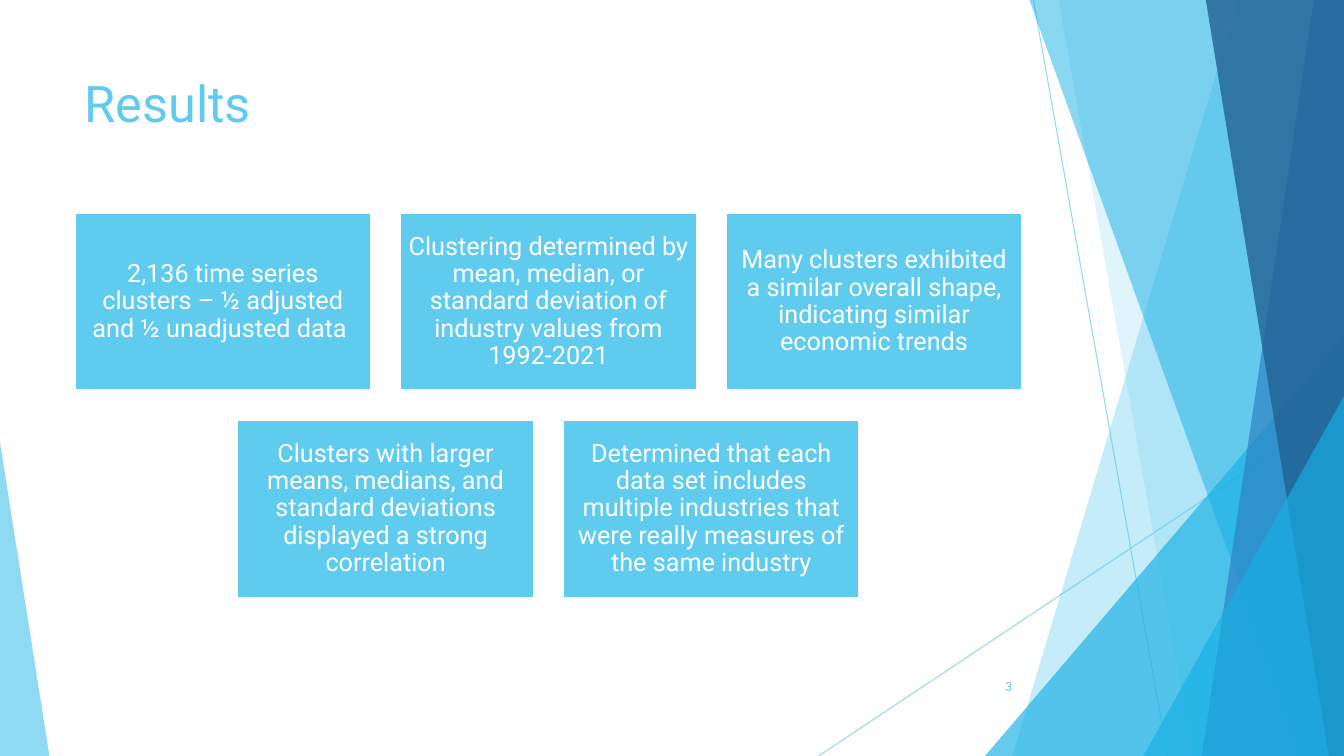
from pptx import Presentation
from pptx.dml.color import RGBColor
from pptx.enum.shapes import MSO_CONNECTOR, MSO_SHAPE
from pptx.enum.text import MSO_ANCHOR as ANCHOR, PP_ALIGN as ALIGN
from pptx.oxml.ns import qn
from pptx.util import Inches, Pt
from lxml.etree import SubElement

W, H = 13.33, 7.5
FONT = "Roboto"
COLORS = {"sky": "5FCBEF", "cyan": "17B0E4", "blue": "2E83C3",
          "navy": "226292", "white": "FFFFFF"}

RESULTS = [
    ["2,136 time series clusters – ½ adjusted and ½ unadjusted data ",
     "Clustering determined by mean, median, or standard deviation of "
     "industry values from 1992-2021",
     "Many clusters exhibited a similar overall shape, indicating similar "
     "economic trends"],
    ["Clusters with larger means, medians, and standard deviations "
     "displayed a strong correlation",
     "Determined that each data set includes multiple industries that were "
     "really measures of the same industry"],
]


def rgb(name):
    return RGBColor.from_string(COLORS[name])


def paint(fill, color, opacity=100):
    """Give a fill a solid colour, with opacity in percent."""
    fill.solid()
    fill.fore_color.rgb = rgb(color)
    if opacity < 100:
        clr = fill._xPr.find(qn("a:solidFill"))[0]
        SubElement(clr, qn("a:alpha"), val=str(opacity * 1000))


def write(shape, text, size, color, inset=None, **formats):
    """Put one paragraph of text in a shape; formats go to its paragraph."""
    tf = shape.text_frame
    tf.word_wrap = True
    tf.vertical_anchor = formats.pop("anchor", ANCHOR.MIDDLE)
    if inset is not None:
        for side in ("left", "top", "right", "bottom"):
            setattr(tf, f"margin_{side}", Inches(inset))
    p = tf.paragraphs[0]
    for name, value in formats.items():
        setattr(p, name, value)
    r = p.add_run()
    r.text = text
    for name, value in {"size": Pt(size), "name": FONT}.items():
        setattr(r.font, name, value)
    r.font.color.rgb = rgb(color)


def add_text(s, box, text, size, color, **formats):
    write(s.shapes.add_textbox(*map(Inches, box)), text, size, color, **formats)


def add_ray(s, start, end):
    ray = s.shapes.add_connector(MSO_CONNECTOR.STRAIGHT,
                                 *map(Inches, start + end))
    ray.line.width = Pt(0.75)
    paint(ray.line.fill, "sky", 70)
    SubElement(ray._element.spPr, qn("a:effectLst"))


def add_facet(s, points, color, opacity):
    (x, y), *rest = [(Inches(px), Inches(py)) for px, py in points]
    builder = s.shapes.build_freeform(x, y)
    builder.add_line_segments(rest, close=True)
    facet = builder.convert_to_shape()
    facet.shadow.inherit = False
    facet.line.fill.background()
    paint(facet.fill, color, opacity)


def add_facets(s, box):
    """Draw the translucent facets along the sides of the box."""
    left, top, width, height = box
    right, bottom = left + width, top + height

    def band(top_x, bottom_x):
        return [(top_x, top), (right, top), (right, bottom), (bottom_x, bottom)]

    def corner(x, y):
        return [(right, y), (right, bottom), (x, bottom)]

    add_ray(s, (10.25, top), (11.58, bottom))
    add_ray(s, (right, 4.03), (8.12, bottom))
    for points, color, opacity in [
        (band(12.28, 10.04), "sky", 36),
        (band(10.5, 11.83), "sky", 20),
        (corner(9.77, 3.33), "cyan", 66),
        (band(10.21, 12.91), "cyan", 50),
        (band(13.03, 11.92), "blue", 70),
        (band(11.96, 13.18), "navy", 80),
        (corner(11.34, 3.93), "cyan", 66),
        ([(left, 4.39), (left + 0.49, bottom), (left, bottom)], "sky", 70),
    ]:
        add_facet(s, points, color, opacity)


def add_cards(s, box, rows):
    """Lay out rows of cards, each row centred in the box."""
    left, top, width, height = box
    gap = 0.29
    columns = max(map(len, rows))
    card_w = (width - gap * (columns - 1)) / columns
    card_h = (height - gap * (len(rows) - 1)) / len(rows)
    for i, row in enumerate(rows):
        indent = (columns - len(row)) * (card_w + gap) / 2
        for j, text in enumerate(row):
            x = left + indent + j * (card_w + gap)
            y = top + i * (card_h + gap)
            card = s.shapes.add_shape(MSO_SHAPE.RECTANGLE,
                                      *map(Inches, (x, y, card_w, card_h)))
            card.shadow.inherit = False
            paint(card.fill, "sky")
            paint(card.line.fill, "white")
            card.line.width = Pt(1.5)
            write(card, text, 18, "white", inset=0.07,
                  alignment=ALIGN.CENTER, line_spacing=0.9)


def main():
    prs = Presentation()
    prs.slide_width, prs.slide_height = Inches(W), Inches(H)
    s = prs.slides.add_slide(prs.slide_layouts[6])
    add_facets(s, (0, 0, W, H))
    add_text(s, (0.74, 0.67, 9.4, 1.44), "Results", 36, "sky",
             anchor=ANCHOR.TOP)
    add_cards(s, (0.74, 2.11, 9.4, 3.82), RESULTS)
    add_text(s, (9.39, 6.61, 0.75, 0.4), "3", 9, "sky", alignment=ALIGN.RIGHT)
    prs.save("out.pptx")


if __name__ == "__main__":
    main()
